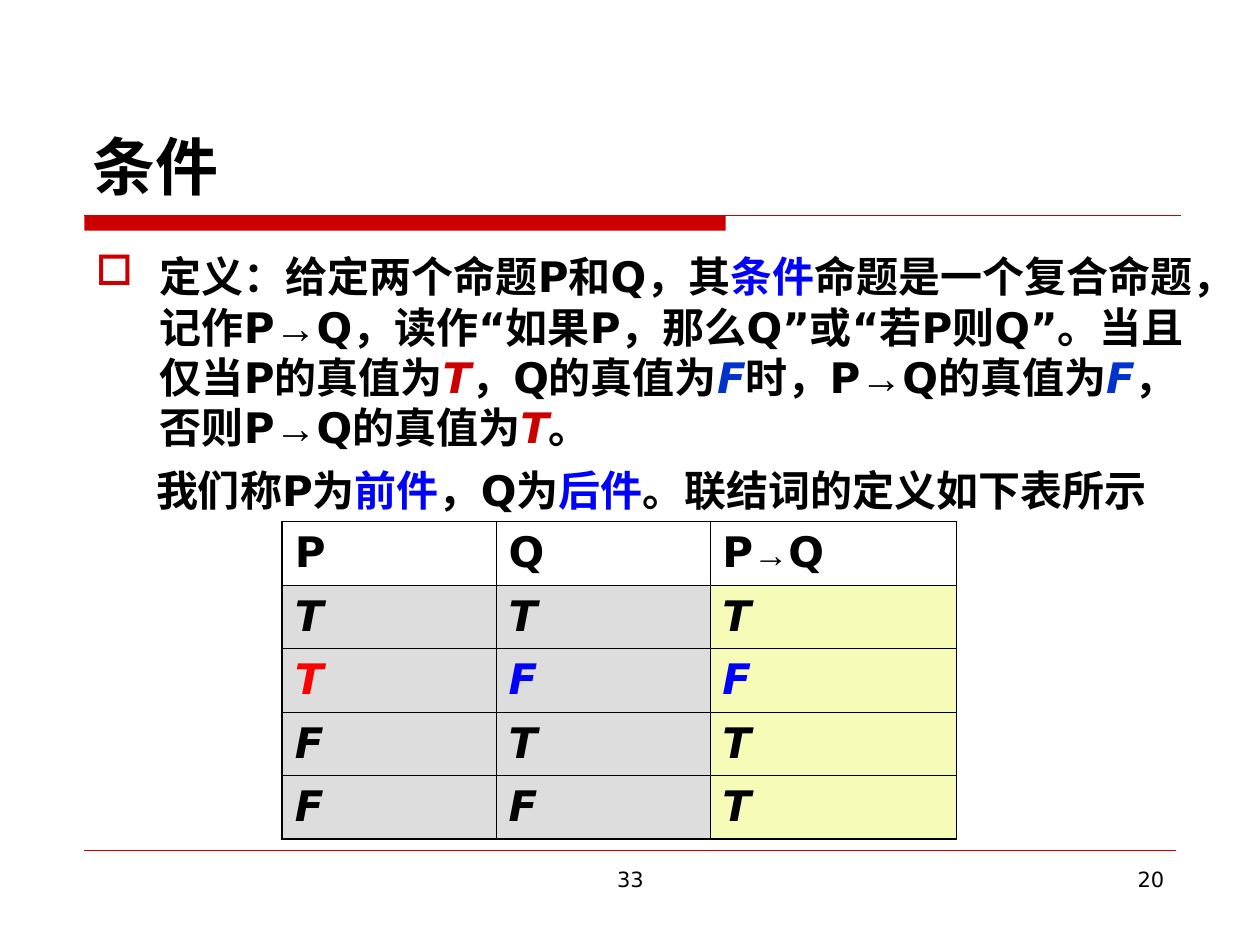
"""Build a slide that defines the conditional connective with its truth table."""
from itertools import groupby
from typing import NamedTuple

from lxml import etree
from pptx import Presentation
from pptx import util as u
from pptx.dml import color
from pptx.enum import shapes, text
from pptx.oxml import ns

HUES = {"ink": "000000", "rule": "CC0000", "term": "0000FF", "true": "CC0000",
        "false": "0033CC", "hot": "FF0000", "input": "DDDDDD", "result": "F6FCB8"}
MAIN, SIGN, HAN = "DejaVu Sans", "Arial", "Noto Sans CJK SC"
SIGNS = "→“”"


class Box(NamedTuple):
    left: float
    top: float
    width: float
    height: float


class Span(NamedTuple):
    text: str
    hue: str = "ink"
    slant: bool = False
    face: str = MAIN


class Rule(NamedTuple):
    left: float
    right: float
    top: float
    weight: float


TRUE, FALSE = Span("T", "true", True), Span("F", "false", True)
RULES = [Rule(48.2, 674.6, 123.1, 0.75), Rule(48.2, 671.8, 486, 0.25)]
DEFINITION = [
    Span("定义：", face=HAN), Span("给定两个命题P和Q，其"), Span("条件", "term"),
    Span("命题是一个复合命题，记作P→Q，读作“如果P，那么Q”或“若P则Q”。当且仅当P的真值为"),
    TRUE, Span("，Q的真值为"), FALSE, Span("时，P→Q的真值为"), FALSE,
    Span("，否则P→Q的真值为"), TRUE, Span("。")]
NAMING = [Span("我们称P为"), Span("前件", "term"), Span("，Q为"), Span("后件", "term"),
          Span("。联结词的定义如下表所示")]
HEADS = ["P", "Q", "P→Q"]
TRUTH = ["TTT", "TFF", "FTT", "FFT"]
MARKED = {"T": "hot", "F": "term"}
WIDTHS = [122.2, 122.2, 141]


def rgb(hue: str) -> color.RGBColor:
    """Look up a named colour."""
    return color.RGBColor.from_string(HUES[hue])


def node(host, tag: str, **attrs: str):
    """Append a drawing element to its host."""
    return etree.SubElement(host, ns.qn(tag), **attrs)


def write(para, spans: list[Span], size: float = 24, bold: bool = True, sign: float = 24) -> None:
    """Write styled spans, with arrows and quotes in the sign font."""
    for span in spans:
        for special, chars in groupby(span.text, lambda char: char in SIGNS):
            run = para.add_run()
            run.text = "".join(chars)
            font = run.font
            font.size = u.Pt(sign if special else size)
            font.bold, font.italic = bold, span.slant
            font.color.rgb = rgb(span.hue)
            font.name = SIGN if special else span.face
            node(run.font._element, "a:ea", typeface=span.face)


def frame(slide, box: Box):
    """Add a wrapping text box and return its first paragraph."""
    area = slide.shapes.add_textbox(*map(u.Pt, box)).text_frame
    area.word_wrap = True
    return area.paragraphs[0]


def draw(slide, rule: Rule) -> None:
    """Draw a level red rule."""
    line = slide.shapes.add_connector(
        shapes.MSO_CONNECTOR.STRAIGHT, u.Pt(rule.left), u.Pt(rule.top),
        u.Pt(rule.right), u.Pt(rule.top))
    line.line.color.rgb = rgb("rule")
    line.line.width = u.Pt(rule.weight)
    node(line._element.spPr, "a:effectLst")


def edge(cell, tag: str, outer: bool) -> None:
    """Draw one cell border, heavier on the outside."""
    width = u.Pt(1.08 if outer else 0.45)
    line = node(cell._tc.get_or_add_tcPr(), tag, w=str(width))
    node(node(line, "a:solidFill"), "a:srgbClr", val=HUES["ink"])


def fill(cell, row: int, col: int) -> None:
    """Fill in and format one cell of the truth table."""
    last = len(HEADS) - 1
    edge(cell, "a:lnL", col == 0)
    edge(cell, "a:lnR", col == last)
    edge(cell, "a:lnT", row == 0)
    edge(cell, "a:lnB", row == len(TRUTH))
    cell.vertical_anchor = text.MSO_ANCHOR.MIDDLE
    if row == 0:
        cell.fill.background()
        span = Span(HEADS[col])
    else:
        cell.fill.solid()
        cell.fill.fore_color.rgb = rgb("result" if col == last else "input")
        value = TRUTH[row - 1][col]
        span = Span(value, MARKED[value] if row == 2 else "ink", True)
    write(cell.text_frame.paragraphs[0], [span], sign=20)


def table(slide) -> None:
    """Add the truth table."""
    rows = len(TRUTH) + 1
    box = Box(161.3, 298.1, sum(WIDTHS), rows * 36.3)
    grid = slide.shapes.add_table(rows, len(HEADS), *map(u.Pt, box)).table
    grid.first_row = grid.horz_banding = False
    for col, width in enumerate(WIDTHS):
        grid.columns[col].width = u.Pt(width)
        for row in range(rows):
            fill(grid.cell(row, col), row, col)


def head(slide) -> None:
    """Place the title and the bar below it."""
    title = slide.shapes.title
    title.left, title.top, title.width, title.height = map(u.Pt, Box(45.4, 23.8, 630, 95.8))
    title.text_frame.vertical_anchor = text.MSO_ANCHOR.BOTTOM
    para = title.text_frame.paragraphs[0]
    para.alignment = text.PP_ALIGN.LEFT
    write(para, [Span("条件")], 36)
    bar = slide.shapes.add_shape(
        shapes.MSO_SHAPE.RECTANGLE, *map(u.Pt, Box(48.2, 123.1, 366.5, 8.7)))
    bar.shadow.inherit = False
    bar.fill.solid()
    bar.fill.fore_color.rgb = rgb("rule")
    bar.line.fill.background()


def define(slide) -> None:
    """Write the bulleted definition."""
    para = frame(slide, Box(47.5, 139.7, 641.5, 124.6))
    props = para._p.get_or_add_pPr()
    props.set("marL", str(u.Pt(36.7)))
    props.set("indent", str(u.Pt(-36.7)))
    node(node(props, "a:buClr"), "a:srgbClr", val=HUES["rule"])
    node(props, "a:buChar", char="□")
    write(para, DEFINITION)


def main() -> None:
    """Build and save the slide."""
    deck = Presentation()
    deck.slide_width, deck.slide_height = u.Pt(720), u.Pt(540)
    slide = deck.slides.add_slide(deck.slide_layouts[5])
    head(slide)
    for rule in RULES:
        draw(slide, rule)
    for label, box, side in [
            ("33", Box(246.2, 491.8, 228.2, 37.4), text.PP_ALIGN.CENTER),
            ("20", Box(516.2, 491.8, 156.2, 37.4), text.PP_ALIGN.RIGHT)]:
        para = frame(slide, box)
        para.alignment = side
        write(para, [Span(label)], 12, False)
    define(slide)
    table(slide)
    write(frame(slide, Box(82.1, 262.1, 595.4, 64.8)), NAMING)
    deck.save("out.pptx")


if __name__ == "__main__":
    main()
